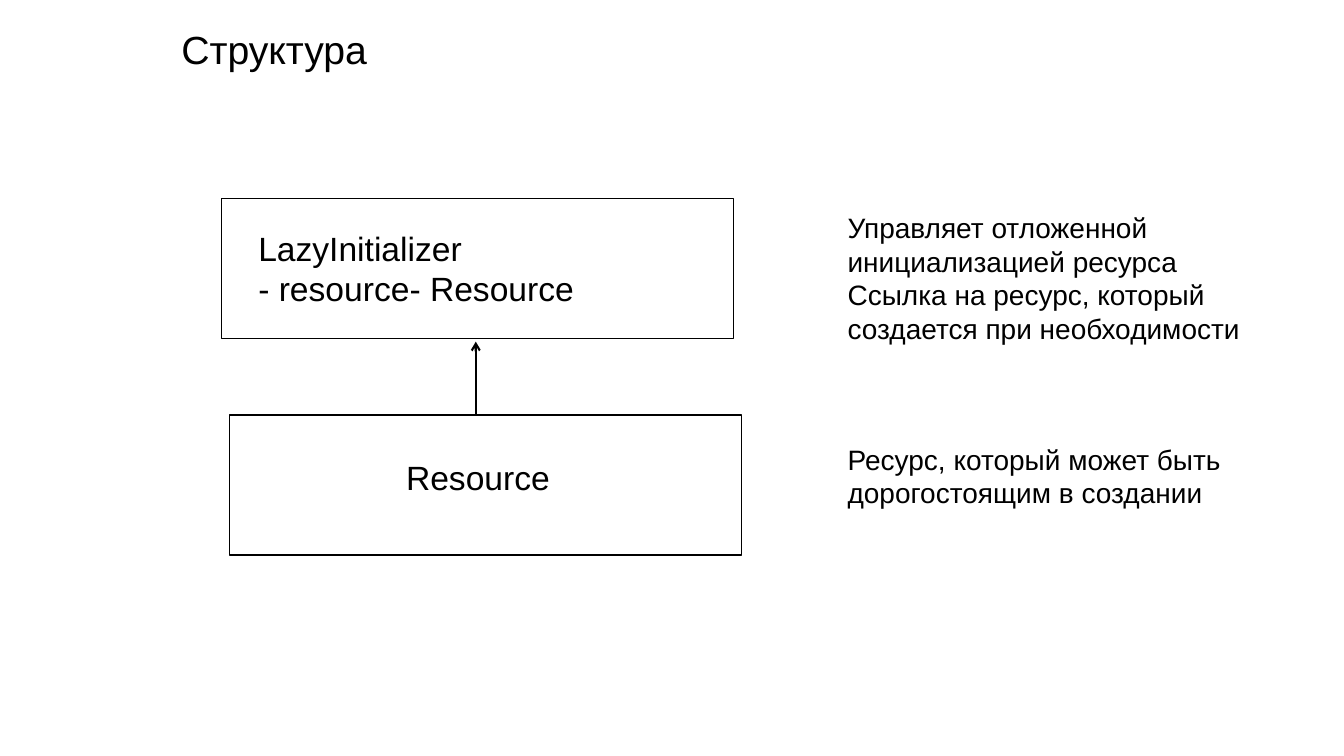
"""Build the slide that shows the structure of the lazy initialization pattern."""
from pptx import Presentation
from pptx import util as u
from pptx.dml.color import RGBColor
from pptx.enum import shapes, text
from pptx.oxml.ns import qn
from lxml import etree

BLACK = RGBColor(0x00, 0x00, 0x00)
WHITE = RGBColor(0xFF, 0xFF, 0xFF)
FONT = "Arial"

prs = Presentation()
prs.slide_width, prs.slide_height = u.Cm(33.87), u.Cm(19.05)
s = prs.slides.add_slide(prs.slide_layouts[6])


def add_text(lines, x, y, w, h, size=20, align=text.PP_ALIGN.LEFT, indent=0.25):
    tf = s.shapes.add_textbox(u.Cm(x), u.Cm(y), u.Cm(w), u.Cm(h)).text_frame
    tf.word_wrap = True
    tf.margin_left = u.Cm(indent)
    for i, line in enumerate(lines):
        p = tf.add_paragraph() if i else tf.paragraphs[0]
        p.alignment = align
        r = p.add_run()
        r.text = line
        r.font.name, r.font.size = FONT, u.Pt(size)
        r.font.color.rgb = BLACK


add_text(["Структура"], 4.32, 0.51, 12.65, 1.45, size=28)

for x, y in [(5.59, 5), (5.79, 10.46)]:
    sp = s.shapes.add_shape(shapes.MSO_SHAPE.RECTANGLE, u.Cm(x), u.Cm(y), u.Cm(12.9), u.Cm(3.53))
    sp.shadow.inherit = False
    sp.fill.solid()
    sp.fill.fore_color.rgb = WHITE
    sp.line.color.rgb = BLACK
    sp.line.width = u.Pt(1)

add_text(["LazyInitializer", "- resource- Resource"], 6.02, 5.61, 12.29, 2.29, size=24, indent=0.49)
add_text(["Resource"], 5.9, 11.4, 12.29, 1.27, size=24, align=text.PP_ALIGN.CENTER)

arrow = s.shapes.add_connector(
    shapes.MSO_CONNECTOR.STRAIGHT, u.Cm(11.99), u.Cm(10.44), u.Cm(11.99), u.Cm(8.61))
arrow.line.color.rgb = BLACK
arrow.line.width = u.Pt(1.5)
etree.SubElement(arrow.line._get_or_add_ln(), qn("a:tailEnd"), type="arrow")
etree.SubElement(arrow._element.spPr, qn("a:effectLst"))

add_text(["Управляет отложенной инициализацией ресурса",
          "Ссылка на ресурс, который создается при необходимости"], 21.11, 5.18, 11.71, 3.63)
add_text(["Ресурс, который может быть дорогостоящим в создании"], 21.11, 11.02, 11.3, 1.96)

prs.save("out.pptx")
